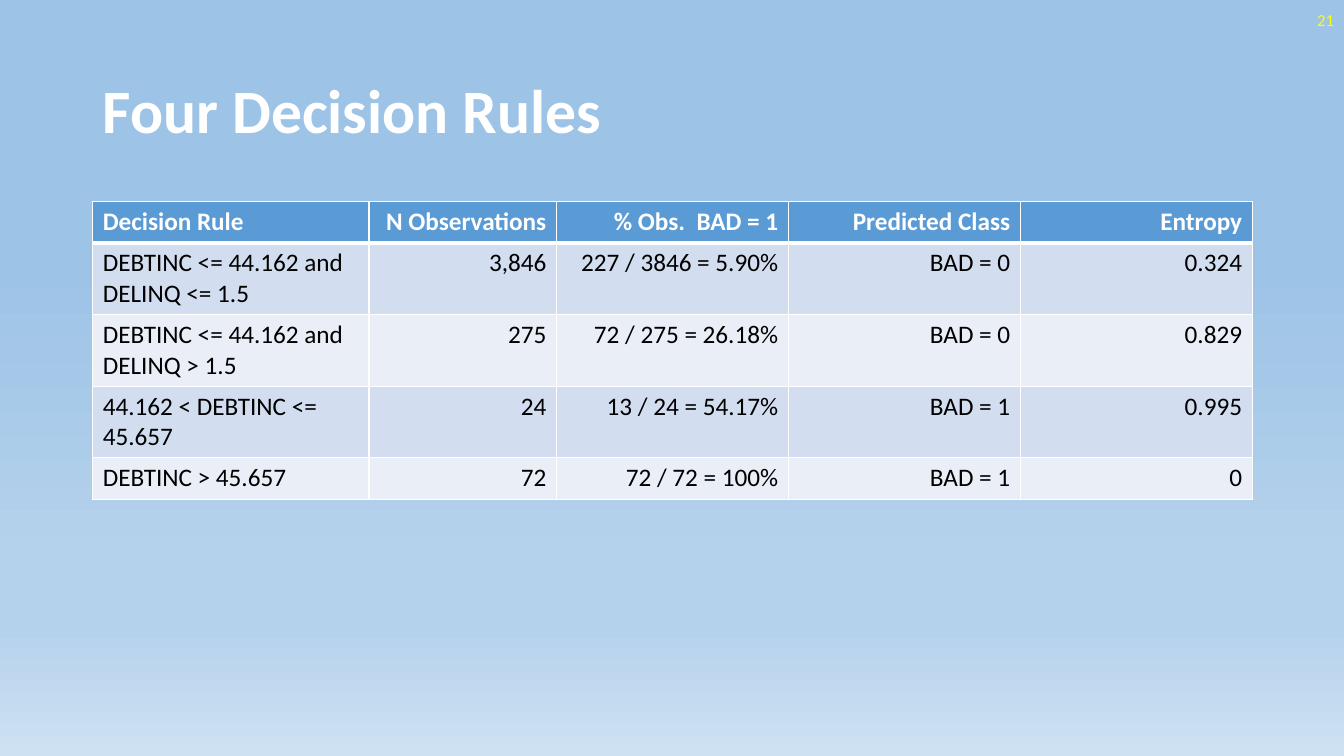
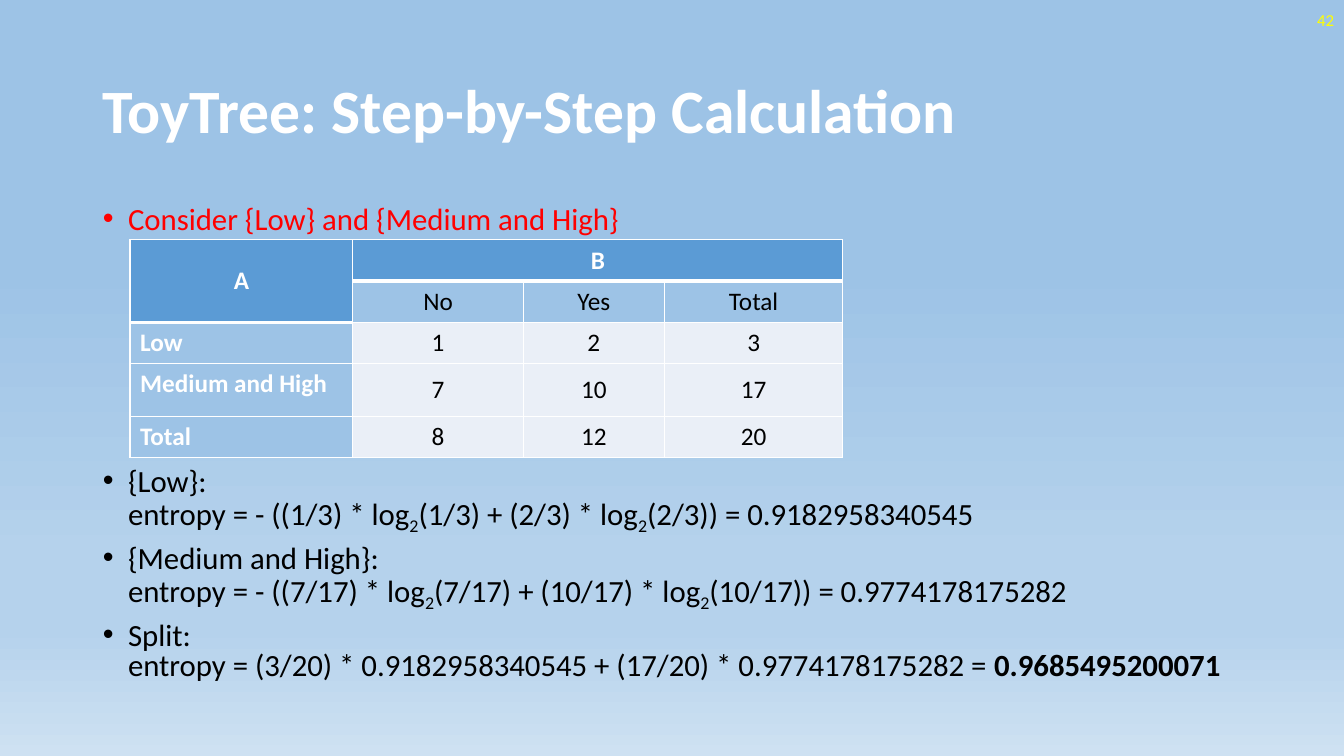
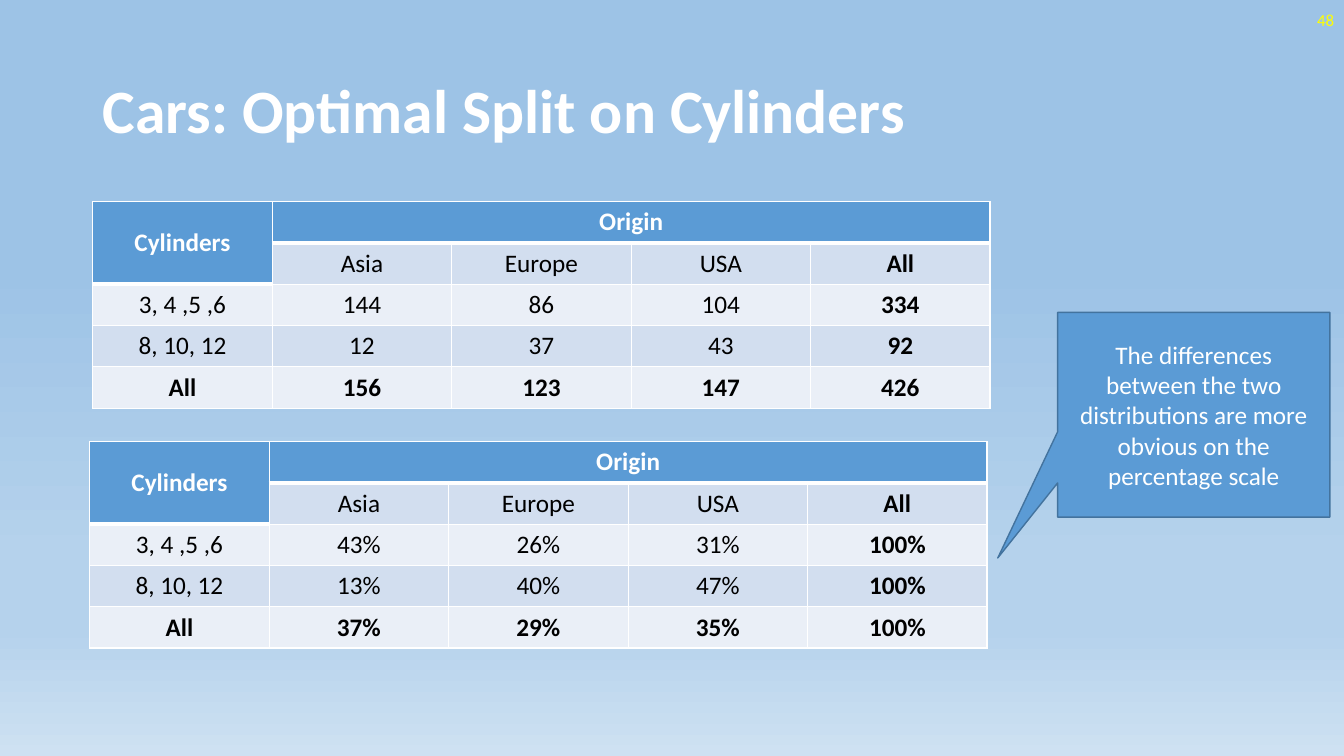
from pptx import Presentation
from pptx.dml.color import RGBColor
from pptx.enum.shapes import MSO_SHAPE
from pptx.enum.text import MSO_ANCHOR, MSO_AUTO_SIZE, PP_ALIGN
from pptx.oxml import parse_xml
from pptx.oxml.ns import nsdecls, qn
from pptx.util import Inches, Pt

LEFT, CENTER, RIGHT = PP_ALIGN.LEFT, PP_ALIGN.CENTER, PP_ALIGN.RIGHT
TOP, MIDDLE = MSO_ANCHOR.TOP, MSO_ANCHOR.MIDDLE
CALLOUT = MSO_SHAPE.RECTANGULAR_CALLOUT
NO_FIT = MSO_AUTO_SIZE.NONE

FONT = "Calibri"
WHITE, BLACK, RED, YELLOW = "FFFFFF", "000000", "FF0000", "FFFF00"
BLUE, SKY, EDGE = "5B9BD5", "9DC3E6", "43739E"
BANDS = ["EAEFF7", "D2DEEF"]  # even and odd table rows
BACKDROP = [(35, SKY), (74, "B5D2EC"), (83, "B5D2EC"), (100, "CEE1F2")]

SLIDE_W, SLIDE_H = 13.33, 7.5
MARGIN, CONTENT_W, CONTENT_TOP = 0.92, 11.5, 2
ROW = 0.41  # height of a one-line table row
TWO_LINES = 0.71


def rgb(code):
    return RGBColor.from_string(code)


def add_grid(slide, left, top, widths, heights, rows, anchor=MIDDLE, two_headers=True):
    """Table with a blue header, banded rows and white rules."""
    shape = slide.shapes.add_table(len(rows), len(widths), Inches(left), Inches(top),
                                   Inches(sum(widths)), Inches(sum(heights)))
    tbl = shape.table
    for column, width in zip(tbl.columns, widths):
        column.width = Inches(width)
    for row, height in zip(tbl.rows, heights):
        row.height = Inches(height)
    for i, texts in enumerate(rows):
        for j, text in enumerate(texts):
            cell = tbl.cell(i, j)
            header = i == 0 or (two_headers and i == 1 and j == 0)
            for side in ("L", "R", "T", "B"):
                if side == "T" and i > 0:
                    continue  # the row above draws this rule
                width = Pt(3 if header and side == "B" else 1)
                cell._tc.get_or_add_tcPr().append(parse_xml(
                    f'<a:ln{side} {nsdecls("a")} w="{width}"><a:solidFill>'
                    f'<a:srgbClr val="{WHITE}"/></a:solidFill></a:ln{side}>'))
            cell.fill.solid()
            cell.fill.fore_color.rgb = rgb(BLUE if header else BANDS[i % 2])
            cell.vertical_anchor = anchor
            if text:
                cell.text = text
            p = cell.text_frame.paragraphs[0]
            p.alignment = CENTER
            p.font.name, p.font.size, p.font.bold = FONT, Pt(18), header
            p.font.color.rgb = rgb(WHITE if header else BLACK)
    if two_headers:
        tbl.cell(0, 0).merge(tbl.cell(1, 0))
        tbl.cell(0, 1).merge(tbl.cell(0, len(widths) - 1))
    return tbl


prs = Presentation()
prs.slide_width, prs.slide_height = Inches(SLIDE_W), Inches(SLIDE_H)

# Shared gradient background
master = prs.slide_master
fill = master.background.fill
fill.gradient()
fill.gradient_angle = 270
stops = master.element.find(".//" + qn("a:gsLst"))
for stop in list(stops):
    stops.remove(stop)
for percent, code in BACKDROP:
    stops.append(parse_xml(f'<a:gs {nsdecls("a")} pos="{percent * 1000}">'
                           f'<a:srgbClr val="{code}"/></a:gs>'))

# Slides with title and page number
TITLE_AND_BODY, TITLE_ONLY = prs.slide_layouts[1], prs.slide_layouts[5]
slides = []
for layout, title, number in [
    (TITLE_ONLY, "Four Decision Rules", "21"),
    (TITLE_AND_BODY, "ToyTree: Step-by-Step Calculation", "42"),
    (TITLE_ONLY, "Cars: Optimal Split on Cylinders", "48"),
]:
    s = prs.slides.add_slide(layout)
    slides.append(s)
    sp = s.shapes.title
    sp.left, sp.top = Inches(MARGIN), Inches(0.4)
    sp.width, sp.height = Inches(CONTENT_W), Inches(1.45)
    page = s.shapes.add_textbox(Inches(SLIDE_W - 3), 0, Inches(3), Inches(0.4))
    for box, text, size, color, align in [(sp, title, 44, WHITE, LEFT),
                                          (page, number, 12, YELLOW, RIGHT)]:
        tf = box.text_frame
        tf.text = text
        tf.word_wrap, tf.auto_size, tf.vertical_anchor = True, NO_FIT, MIDDLE
        p = tf.paragraphs[0]
        p.alignment = align
        p.font.name, p.font.size, p.font.bold = FONT, Pt(size), box is sp
        p.font.color.rgb = rgb(color)
    sp.text_frame.paragraphs[0].line_spacing = 0.9
rules_slide, steps_slide, cars_slide = slides

# Decision rules
tbl = add_grid(
    rules_slide, MARGIN, CONTENT_TOP, [2.74, 1.86] + [2.3] * 3,
    [ROW] + [TWO_LINES] * 3 + [ROW],
    [["Decision Rule", "N Observations", "% Obs.  BAD = 1", "Predicted Class", "Entropy"],
     ["DEBTINC <= 44.162 and DELINQ <= 1.5", "3,846", "227 / 3846 = 5.90%", "BAD = 0", "0.324"],
     ["DEBTINC <= 44.162 and DELINQ > 1.5", "275", "72 / 275 = 26.18%", "BAD = 0", "0.829"],
     ["44.162 < DEBTINC <= 45.657", "24", "13 / 24 = 54.17%", "BAD = 1", "0.995"],
     ["DEBTINC > 45.657", "72", "72 / 72 = 100%", "BAD = 1", "0"]],
    anchor=TOP, two_headers=False)
for row in tbl.rows:
    for j, cell in enumerate(row.cells):
        cell.text_frame.paragraphs[0].alignment = RIGHT if j else LEFT

# Entropy steps: "|" switches subscript on and off, the last field is bold
STEPS = [
    ("Consider {Low} and {Medium and High}", "", ""),
    ("{Low}:", "entropy = - ((1/3) * log|2|(1/3) + (2/3) * log|2|(2/3)) = 0.9182958340545", ""),
    ("{Medium and High}:",
     "entropy = - ((7/17) * log|2|(7/17) + (10/17) * log|2|(10/17)) = 0.9774178175282", ""),
    ("Split:", "entropy = (3/20) * 0.9182958340545 + (17/20) * 0.9774178175282 = ",
     "0.9685495200071"),
]
TABLE_GAP = 166  # points left free for the table after the first bullet
sp = steps_slide.placeholders[1]
sp.left, sp.top = Inches(MARGIN), Inches(CONTENT_TOP)
sp.width, sp.height = Inches(CONTENT_W), Inches(4.76)
tf = sp.text_frame
tf.auto_size = NO_FIT
for i, (lead, formula, result) in enumerate(STEPS):
    p = tf.add_paragraph() if i else tf.paragraphs[0]
    p.line_spacing = 0.8
    p.space_before = Pt(TABLE_GAP if i == 1 else 10)
    p.font.name, p.font.size = FONT, Pt(22)
    p.font.color.rgb = rgb(BLACK if i else RED)
    pPr = p._p.get_or_add_pPr()
    pPr.set("marL", str(Inches(0.25)))
    pPr.set("indent", str(-Inches(0.25)))
    p.add_run().text = lead
    if formula:
        p.add_line_break()
        for k, part in enumerate(formula.split("|")):
            r = p.add_run()
            r.text = part
            if k % 2:
                r.font._element.set("baseline", "-25000")
    if result:
        r = p.add_run()
        r.text = result
        r.font.bold = True

# Entropy counts
tbl = add_grid(
    steps_slide, 1.29, 2.38, [2.21, 1.69, 1.4, 1.77], [ROW, ROW, ROW, 0.52, ROW],
    [["A", "B", "", ""],
     ["", "No", "Yes", "Total"],
     ["Low", "1", "2", "3"],
     ["Medium and High", "7", "10", "17"],
     ["Total", "8", "12", "20"]])
for i in range(1, 5):
    for j in range(4):
        cell = tbl.cell(i, j)
        if i > 1:
            cell.fill.fore_color.rgb = rgb(BANDS[0] if j else SKY)
        elif j:
            cell.fill.fore_color.rgb = rgb(SKY)
        if i > 1 and j == 0:
            cell.vertical_anchor = TOP
            p = cell.text_frame.paragraphs[0]
            p.alignment, p.font.bold = LEFT, True
            p.font.color.rgb = rgb(WHITE)

# Cars by origin: counts above, percentages below
COUNTS = [["144", "86", "104", "334"], ["12", "37", "43", "92"], ["156", "123", "147", "426"]]
SHARES = [["43%", "26%", "31%", "100%"], ["13%", "40%", "47%", "100%"],
          ["37%", "29%", "35%", "100%"]]
for left, top, values in [(MARGIN, CONTENT_TOP, COUNTS), (0.89, 4.38, SHARES)]:
    rows = [["Cylinders", "Origin", "", "", ""], ["", "Asia", "Europe", "USA", "All"]]
    for label, numbers in zip(["3, 4 ,5 ,6", "8, 10, 12", "All"], values):
        rows.append([label] + numbers)
    tbl = add_grid(cars_slide, left, top, [1.78] * 5, [ROW] * 5, rows)
    for i in range(1, 5):
        for j in range(5):
            if i == 4 or j == 4:
                tbl.cell(i, j).text_frame.paragraphs[0].font.bold = True

# Callout
sp = cars_slide.shapes.add_shape(CALLOUT, Inches(10.49), Inches(3.1), Inches(2.7), Inches(2.03))
sp.adjustments[0], sp.adjustments[1] = -0.72, 0.7
sp.shadow.inherit = False
sp.fill.solid()
sp.fill.fore_color.rgb = rgb(BLUE)
sp.line.color.rgb = rgb(EDGE)
sp.line.width = Pt(1)
tf = sp.text_frame
tf.word_wrap, tf.vertical_anchor = True, MIDDLE
tf.text = "The differences between the two distributions are more obvious on the percentage scale"
p = tf.paragraphs[0]
p.alignment = CENTER
p.font.name, p.font.size = FONT, Pt(18)
p.font.color.rgb = rgb(WHITE)

prs.save("out.pptx")
